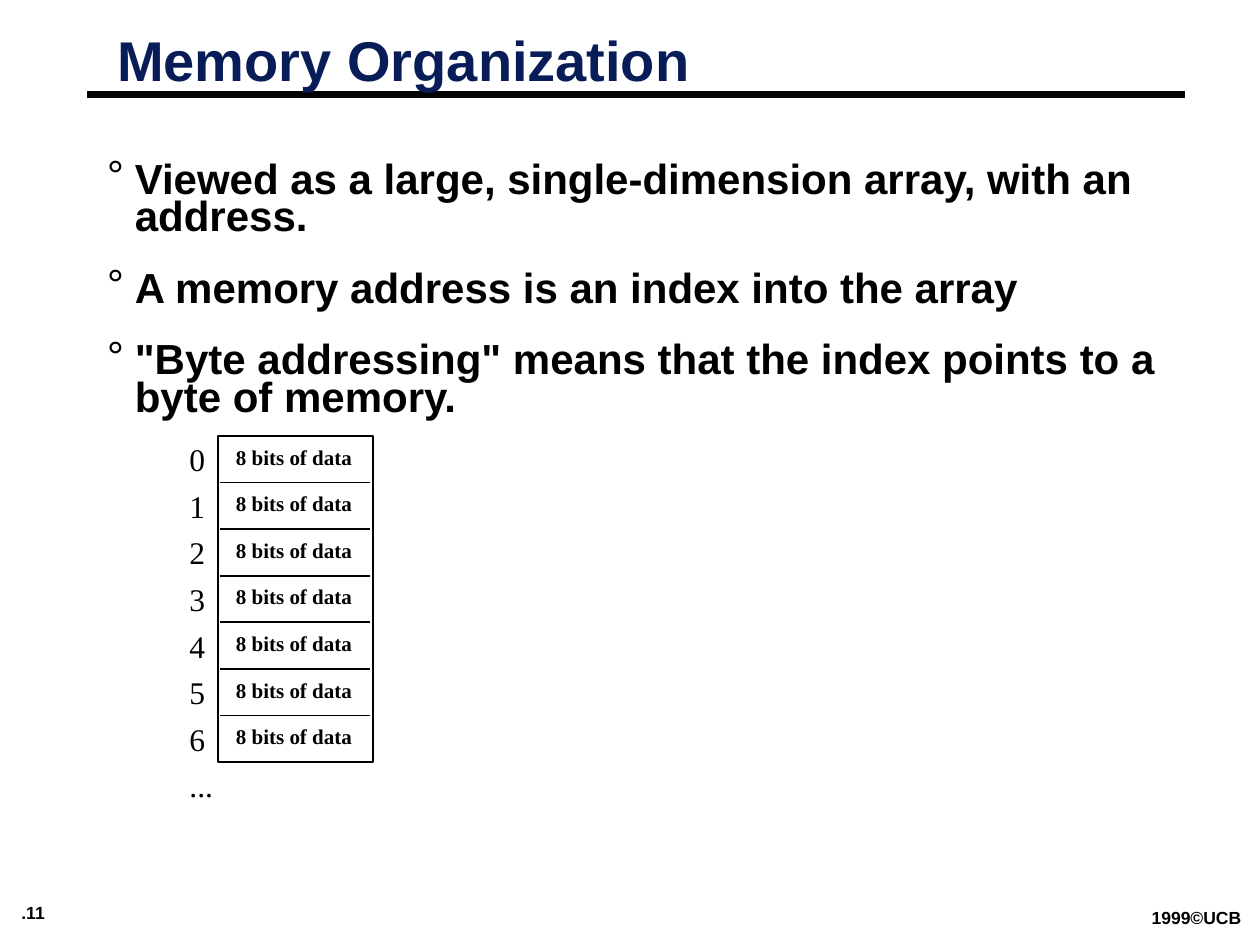
import pptx
import pptx.util
from lxml import etree
from pptx.dml.color import RGBColor
from pptx.enum.shapes import MSO_CONNECTOR, MSO_SHAPE
from pptx.enum.text import MSO_ANCHOR, MSO_AUTO_SIZE, PP_ALIGN
from pptx.oxml.ns import qn

BLACK = RGBColor(0x00, 0x00, 0x00)
WHITE = RGBColor(0xFF, 0xFF, 0xFF)
NAVY = RGBColor(0x08, 0x1D, 0x58)
SLIDE_W, SLIDE_H = pptx.util.Inches(10), pptx.util.Inches(7.5)

BULLETS = [
    "Viewed as a large, single-dimension array, with an address.",
    "A memory address is an index into the array",
    '"Byte addressing" means that the index points to a byte of memory.',
]
ADDRESSES = ["0", "1", "2", "3", "4", "5", "6", "..."]
CELL_TEXT = "8 bits of data"


def share(left, top, width, height):
    """Turn percentages of the slide's size into a box."""
    return (int(SLIDE_W * left / 100), int(SLIDE_H * top / 100),
            int(SLIDE_W * width / 100), int(SLIDE_H * height / 100))


def write(p, text, size, font="Arial", color=BLACK, bold=True, spacing=None):
    p.alignment = PP_ALIGN.LEFT
    if spacing is not None:
        p.line_spacing = spacing
    r = p.add_run()
    r.text = text
    r.font.size = pptx.util.Pt(size)
    r.font.name = font
    r.font.bold = bold
    r.font.color.rgb = color


def add_label(s, box, text, size, inset=0.02, **style):
    """Add a one-line text box."""
    tf = s.shapes.add_textbox(*box).text_frame
    tf.word_wrap = False
    tf.margin_left = tf.margin_right = pptx.util.Inches(inset)
    tf.margin_top = tf.margin_bottom = pptx.util.Inches(0.03)
    write(tf.paragraphs[0], text, size, **style)


def add_line(s, left, right, y, width):
    line = s.shapes.add_connector(MSO_CONNECTOR.STRAIGHT, left, y, right, y)
    line.line.color.rgb = BLACK
    line.line.width = pptx.util.Pt(width)
    etree.SubElement(line.element.spPr, qn("a:effectLst"))
    return line


def place(sp, box):
    sp.left, sp.top, sp.width, sp.height = box
    tf = sp.text_frame
    tf.auto_size = MSO_AUTO_SIZE.NONE
    tf.word_wrap = True
    return tf


def add_heading(s, box):
    """Fill the title and run a rule behind its lower edge."""
    left, top, width, height = box
    title = s.shapes.title
    tf = place(title, box)
    tf.vertical_anchor = MSO_ANCHOR.MIDDLE
    write(tf.paragraphs[0], "Memory Organization", 32, color=NAVY, spacing=0.87)
    rule = add_line(s, int(left - width * 0.02), int(left + width * 1.25),
                    int(top + height * 0.93), 3.75)
    title.element.addprevious(rule.element)


def add_bullets(s, box):
    tf = place(s.placeholders[1], box)
    tf.vertical_anchor = MSO_ANCHOR.TOP
    indent = pptx.util.Inches(0.22)
    for i, text in enumerate(BULLETS):
        p = tf.add_paragraph() if i else tf.paragraphs[0]
        p.space_before = pptx.util.Pt(19.1 if i else 0)
        write(p, text, 24, spacing=0.75)
        pPr = p._p.get_or_add_pPr()
        pPr.set("marL", str(indent))
        pPr.set("indent", str(-indent))
        color = etree.SubElement(pPr, qn("a:buClr"))
        etree.SubElement(color, qn("a:srgbClr"), val=str(BLACK))
        etree.SubElement(pPr, qn("a:buFont"), typeface="Arial")
        etree.SubElement(pPr, qn("a:buChar"), char="°")


def add_memory(s, box):
    """Draw the byte column with its addresses; the last address lies below it."""
    left, top, width, height = box
    row = height // (len(ADDRESSES) - 1)
    frame = s.shapes.add_shape(MSO_SHAPE.RECTANGLE, *box)
    frame.shadow.inherit = False
    frame.fill.solid()
    frame.fill.fore_color.rgb = WHITE
    frame.line.color.rgb = BLACK
    frame.line.width = pptx.util.Pt(1)
    for i, address in enumerate(ADDRESSES):
        y = top + i * row
        add_label(s, (int(left - width * 0.2), int(y + row * 0.03),
                      int(width * 0.45), int(row * 1.15)),
                  address, 18, font="Times New Roman", bold=False,
                  spacing=pptx.util.Pt(21))
        if i < len(ADDRESSES) - 1:
            add_line(s, int(left + width * 0.01), int(left + width * 0.98),
                     y + row, 1)
            add_label(s, (int(left + width * 0.1), int(y + row * 0.11),
                          int(width * 1.14), int(row * 0.89)),
                      CELL_TEXT, 12, font="Times New Roman",
                      spacing=pptx.util.Pt(14))


def add_footer(s):
    add_label(s, share(1, 95.07, 8.5, 2.93), ".11", 10, inset=0.07)
    add_label(s, share(90.7, 95.6, 8.5, 2.93), "1999©UCB", 10, inset=0.07)


def main():
    prs = pptx.Presentation()
    prs.slide_width, prs.slide_height = SLIDE_W, SLIDE_H
    s = prs.slides.add_slide(prs.slide_layouts[1])
    add_heading(s, share(8.3, 3.07, 68.6, 7.47))
    add_bullets(s, share(7.5, 16.67, 85.8, 44.8))
    add_memory(s, share(17.3, 46.13, 12.3, 34.53))
    add_footer(s)
    prs.save("out.pptx")


if __name__ == "__main__":
    main()
